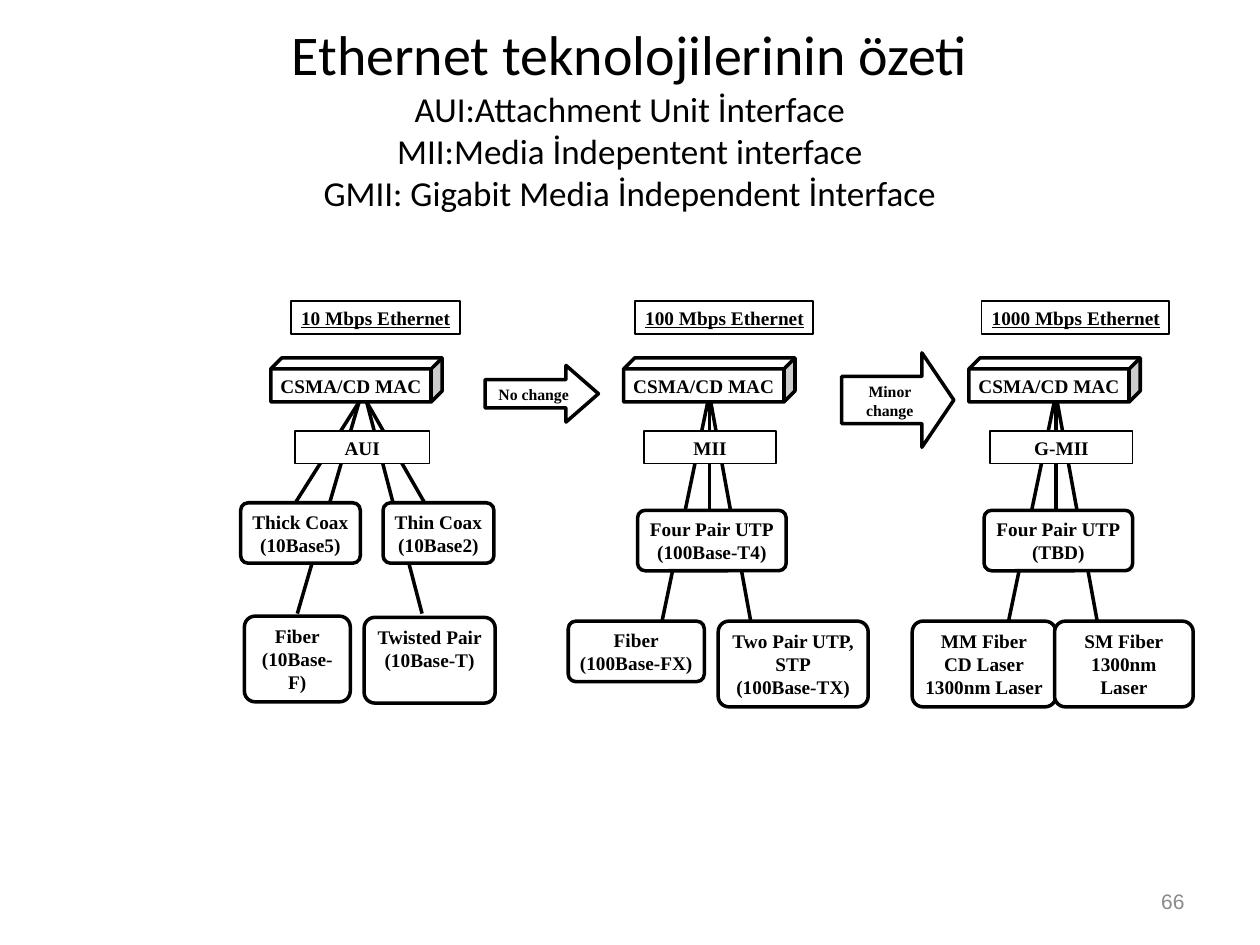
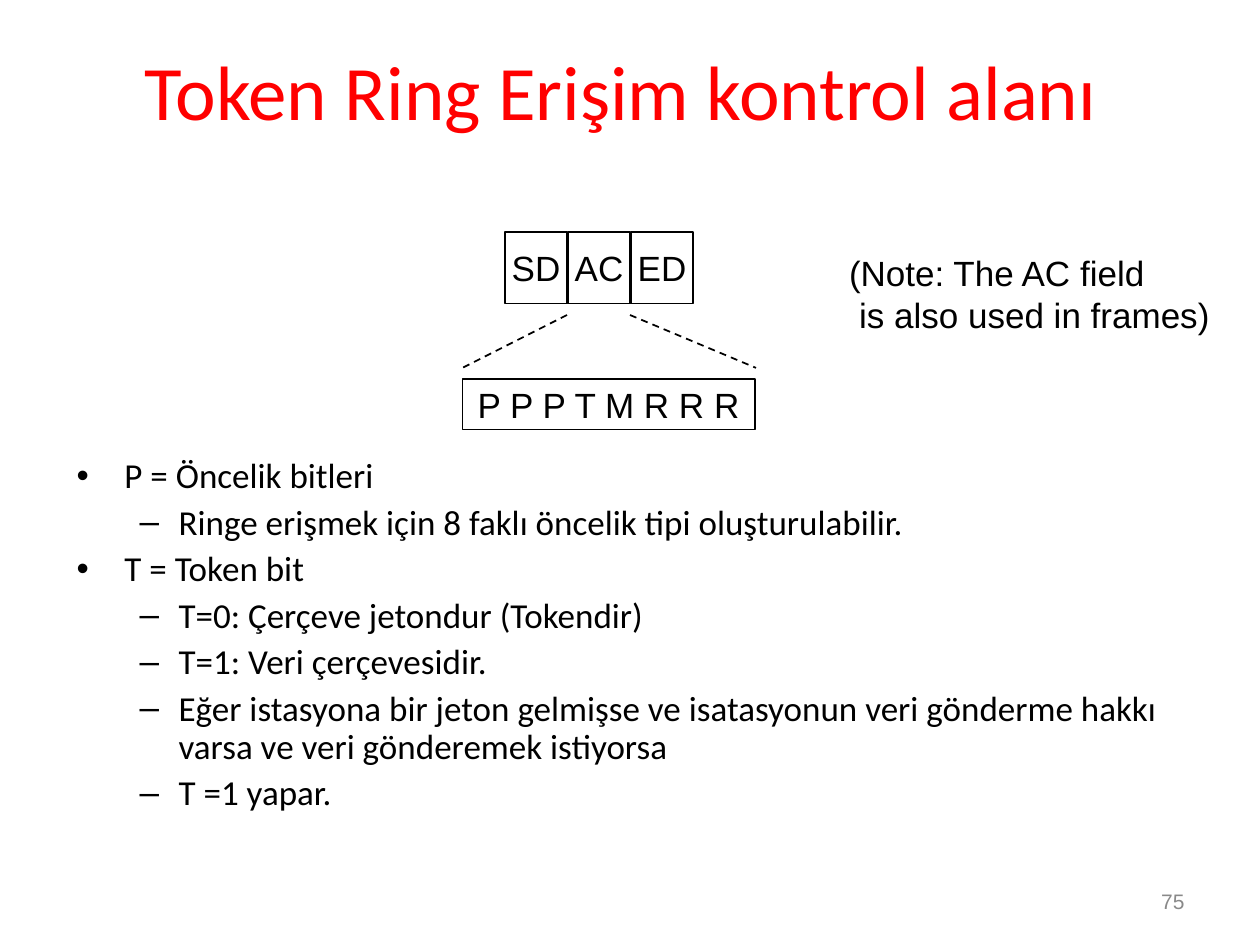
"""Build two slides on Ethernet technologies and the Token Ring access field."""
from lxml.etree import SubElement
from pptx import Presentation
from pptx.dml.color import RGBColor
from pptx.enum.dml import MSO_LINE
from pptx.enum.shapes import MSO_CONNECTOR, MSO_SHAPE as Kind
from pptx.enum.text import MSO_ANCHOR as Anchor, MSO_AUTO_SIZE as Fit, PP_ALIGN as Align
from pptx.oxml.ns import qn
from pptx.util import Inches, Pt

BLACK = RGBColor(0, 0, 0)
WHITE = RGBColor(255, 255, 255)
RED = RGBColor(255, 0, 0)
GREY = RGBColor(0x89, 0x89, 0x89)
HEAD, BODY, SERIF = "Calibri", "Arial", "Times New Roman"

SUMMARY = [
    ("Ethernet teknolojilerinin özeti", 32),
    ("AUI:Attachment Unit İnterface", 20),
    ("MII:Media İndepentent interface", 20),
    ("GMII: Gigabit Media İndependent İnterface", 20),
]
AXIS, PITCH = 2.88, 2.75
FAN = [(0, 3.13, -0.39, 5), (0, 3.13, 0, 4.06), (0, 3.13, 0.33, 4.94)]
COLUMNS = [
    dict(name="10 Mbps Ethernet", label=(-0.57, 1.34), cube=-0.73,
         port="AUI", slot=(-0.54, 1.07),
         fan=[(-0.03, 3.19, -0.52, 4.87), (-0.03, 3.19, -0.58, 4.06),
              (0.03, 3.19, 0.53, 4.06), (0.03, 3.19, 0.47, 4.87)],
         media=[("Thick Coax\n(10Base5)", -0.97, 3.99, 0.95, 0.48, False),
                ("Thin Coax\n(10Base2)", 0.16, 3.99, 0.88, 0.48, False),
                ("Fiber\n(10Base-F)", -0.94, 4.89, 0.84, 0.68, True),
                ("Twisted Pair\n(10Base-T)", 0.01, 4.9, 1.04, 0.68, True)]),
    dict(name="100 Mbps Ethernet", label=(-0.59, 1.41), cube=-0.68,
         port="MII", slot=(-0.52, 1.05), fan=FAN,
         media=[("Four Pair UTP\n(100Base-T4)", -0.57, 4.05, 1.18, 0.48, False),
                ("Fiber\n(100Base-FX)", -1.12, 4.93, 1.08, 0.48, False),
                ("Two Pair UTP, STP\n(100Base-TX)", 0.07, 4.93, 1.19, 0.68, True)]),
    dict(name="1000 Mbps Ethernet", label=(-0.59, 1.49), cube=-0.69,
         port="G-MII", slot=(-0.52, 1.13), fan=FAN,
         media=[("Four Pair UTP\n(TBD)", -0.57, 4.05, 1.18, 0.48, False),
                ("MM Fiber\nCD Laser\n1300nm Laser", -1.14, 4.93, 1.14, 0.68, False),
                ("SM Fiber\n1300nm Laser", -0.01, 4.93, 1.1, 0.68, True)]),
]
CHANGES = [
    ("No change", (3.85, 2.9, 0.9, 0.45), 0.573),
    ("Minor change", (6.68, 2.8, 0.89, 0.75), 0.338),
]

FIELDS = ["SD", "AC", "ED"]
BITS = "P P P T M R R R"
NOTE = ["(Note: The AC field", "is also used in frames)"]
ZOOM = [(4.5, 2.5, 3.67, 2.92), (5, 2.5, 6, 2.92)]
POINTS = [
    (0, "P = Öncelik bitleri"),
    (1, "Ringe erişmek için 8 faklı öncelik tipi oluşturulabilir."),
    (0, "T = Token bit"),
    (1, "T=0: Çerçeve jetondur (Tokendir)"),
    (1, "T=1: Veri çerçevesidir."),
    (1, "Eğer istasyona bir jeton gelmişse ve isatasyonun veri gönderme hakkı "
        "varsa ve veri gönderemek istiyorsa"),
    (1, "T =1 yapar."),
]
LEVELS = [("•", 0.38, -0.38), ("–", 0.81, -0.31)]


def style(para, size, font, color=BLACK, bold=False, line=False):
    face = para.font
    face.size, face.name, face.bold, face.underline = Pt(size), font, bold, line
    face.color.rgb = color


def write(shape, lines, size, font, align=Align.CENTER, anchor=Anchor.TOP,
          wrap=True, inset=(0.1, 0.05), **look):
    frame = shape.text_frame
    frame.word_wrap, frame.vertical_anchor = wrap, anchor
    frame.auto_size = Fit.NONE
    frame.margin_left = frame.margin_right = Inches(inset[0])
    frame.margin_top = frame.margin_bottom = Inches(inset[1])
    frame.text = "\n".join(lines)
    for para in frame.paragraphs:
        para.alignment = align
        style(para, size, font, **look)
    return frame.paragraphs


def text(slide, area, lines, size, font, **opts):
    box = slide.shapes.add_textbox(*map(Inches, area))
    return write(box, lines, size, font, **opts)


def block(slide, kind, area, weight, fill=WHITE, adj=()):
    shape = slide.shapes.add_shape(kind, *map(Inches, area))
    shape.shadow.inherit = False
    if fill is None:
        shape.fill.background()
    else:
        shape.fill.solid()
        shape.fill.fore_color.rgb = fill
    shape.line.color.rgb, shape.line.width = BLACK, Pt(weight)
    for i, value in enumerate(adj):
        shape.adjustments[i] = value
    return shape


def node(slide, kind, area, label, weight=2, fill=WHITE, adj=(), size=11, **opts):
    shape = block(slide, kind, area, weight, fill, adj)
    write(shape, label.split("\n"), size, SERIF, bold=True, inset=(0.08, 0.04), **opts)


def link(slide, ends, weight, dash=None):
    wire = slide.shapes.add_connector(MSO_CONNECTOR.STRAIGHT, *map(Inches, ends))
    wire.line.color.rgb, wire.line.width = BLACK, Pt(weight)
    if dash:
        wire.line.dash_style = dash
    SubElement(wire._element.spPr, qn("a:effectLst"))


def indent(para, left, hang=0, mark=None):
    props = para._p.get_or_add_pPr()
    props.set("marL", str(Inches(left)))
    props.set("indent", str(Inches(hang)))
    if mark:
        SubElement(props, qn("a:buFont")).set("typeface", BODY)
        SubElement(props, qn("a:buChar")).set("char", mark)


def page(deck, number):
    slide = deck.slides.add_slide(deck.slide_layouts[6])
    text(slide, (7.17, 6.95, 2.33, 0.4), [number], 12, BODY,
         align=Align.RIGHT, anchor=Anchor.MIDDLE, color=GREY)
    return slide


def column(slide, axis, col):
    for x1, y1, x2, y2 in col["fan"]:
        link(slide, (axis + x1, y1, axis + x2, y2), 2)
    left, width = col["label"]
    node(slide, Kind.RECTANGLE, (axis + left, 2.39, width, 0.26), col["name"], 1,
         None, wrap=False, align=Align.LEFT, line=True)
    node(slide, Kind.CUBE, (axis + col["cube"], 2.84, 1.36, 0.35), "CSMA/CD MAC",
         adj=[0.25], wrap=False)
    for label, left, top, width, height, wrap in col["media"]:
        node(slide, Kind.ROUNDED_RECTANGLE, (axis + left, top, width, height), label,
             adj=[0.125], wrap=wrap)
    left, width = col["slot"]
    node(slide, Kind.RECTANGLE, (axis + left, 3.42, width, 0.26), col["port"], 1)


def ethernet(deck):
    slide = page(deck, "66")
    lines, sizes = zip(*SUMMARY)
    paras = text(slide, (0.5, 0.3, 9, 1.25), lines, 20, HEAD, anchor=Anchor.MIDDLE)
    for para, size in zip(paras, sizes):
        para.font.size = Pt(size)
    for i, col in enumerate(COLUMNS):
        column(slide, AXIS + i * PITCH, col)
    for label, area, tip in CHANGES:
        node(slide, Kind.RIGHT_ARROW, area, label, fill=None, adj=[0.5, tip], size=9)


def token(deck):
    slide = page(deck, "75")
    text(slide, (0.43, 0.28, 9, 0.85), ["Token Ring Erişim kontrol alanı"], 44, HEAD,
         anchor=Anchor.BOTTOM, color=RED)
    cells = [(name, (4.01 + i * 0.5, 1.84, 0.49, 0.57)) for i, name in enumerate(FIELDS)]
    for name, area in cells + [(BITS, (3.67, 3.01, 2.32, 0.4))]:
        write(block(slide, Kind.RECTANGLE, area, 1), [name], 20, BODY,
              anchor=Anchor.MIDDLE, wrap=False)
    for ends in ZOOM:
        link(slide, ends, 1, MSO_LINE.DASH)
    note = text(slide, (6.64, 1.95, 3.2, 0.77), NOTE, 20, BODY, align=Align.LEFT)
    indent(note[1], 0.08)
    paras = text(slide, (0.51, 3.59, 9, 3.3), [line for _, line in POINTS], 20, HEAD,
                 align=Align.LEFT)
    for i, (para, (level, _)) in enumerate(zip(paras, POINTS)):
        mark, left, hang = LEVELS[level]
        para.level, para.line_spacing = level, 0.9
        para.space_before = Pt(5 if i else 0)
        indent(para, left, hang, mark)
        style(para, 20, HEAD)


def main():
    deck = Presentation()
    deck.slide_width, deck.slide_height = Inches(10), Inches(7.5)
    ethernet(deck)
    token(deck)
    deck.save("out.pptx")


if __name__ == "__main__":
    main()
